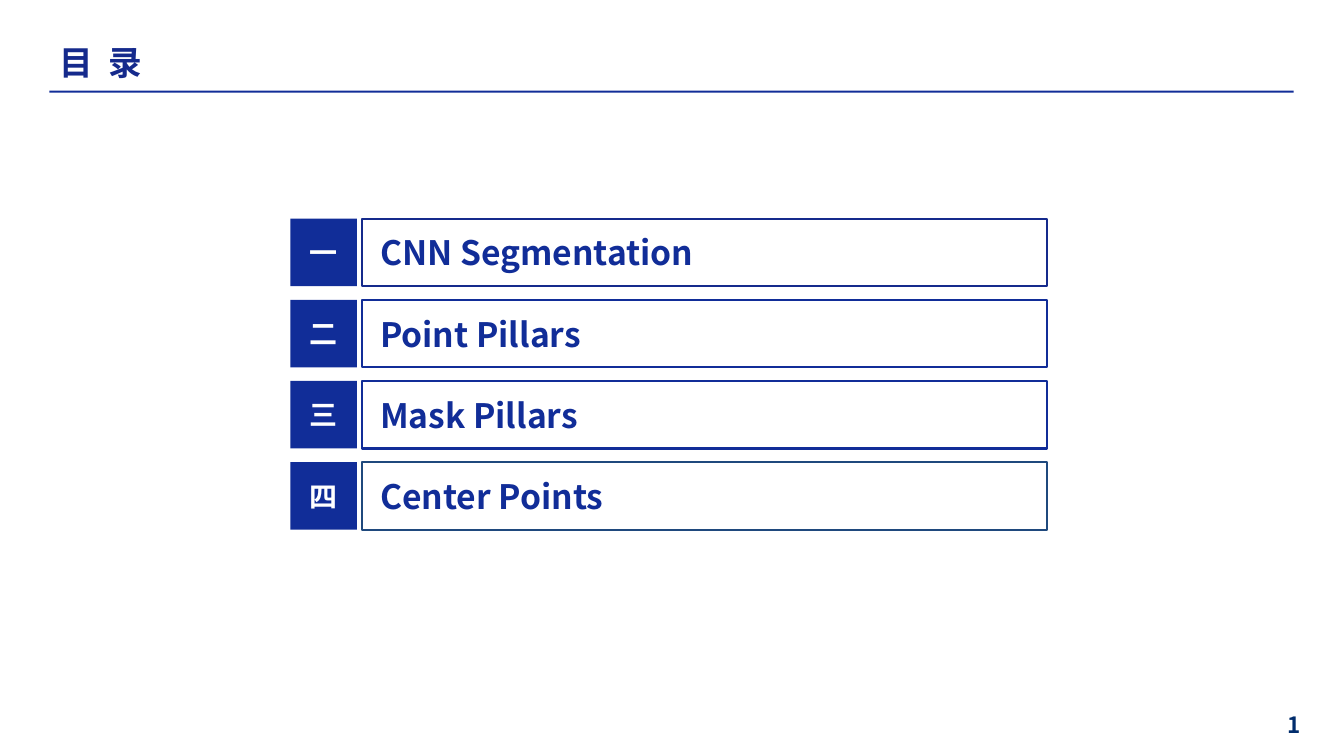
"""Build a contents slide with four numbered chapter bars."""
from pptx import Presentation
from pptx.dml.color import RGBColor
from pptx.enum import shapes, text
from pptx.oxml.ns import qn
from pptx.util import Inches, Pt

TITLE = "目  录"
PAGE_NUMBER = "1"
CHAPTERS = [
    ("一", "CNN Segmentation", "152A8C"),
    ("二", "Point Pillars", "112D98"),
    ("三", "Mask Pillars", "112D98"),
    ("四", "Center Points", "1F497D"),
]
FONT = "Noto Sans CJK SC"
BLUE, TITLE_BLUE, NUMBER_BLUE, WHITE = "112D98", "152A8C", "002C6C", "FFFFFF"
FIRST_TOP, PITCH, BAR_HEIGHT = 2.17, 0.805, 0.67
BADGE_LEFT, BADGE_WIDTH = 2.88, 0.66
BAR_LEFT, BAR_WIDTH = 3.59, 6.79


def color(value):
    return RGBColor.from_string(value)


def write(shape, wording, size, text_color, align=text.PP_ALIGN.LEFT):
    frame = shape.text_frame
    frame.text = wording
    frame.vertical_anchor = text.MSO_ANCHOR.MIDDLE
    paragraph = frame.paragraphs[0]
    paragraph.alignment = align
    font = paragraph.runs[0].font
    font.name, font.size, font.bold = FONT, Pt(size), True
    font.color.rgb = color(text_color)
    properties = paragraph.runs[0]._r.get_or_add_rPr()
    east_asian = properties.makeelement(qn("a:ea"), {"typeface": FONT})
    properties.find(qn("a:latin")).addnext(east_asian)


def add_box(slide, left, top, width, height, fill, line=None):
    shape = slide.shapes.add_shape(
        shapes.MSO_SHAPE.RECTANGLE,
        Inches(left), Inches(top), Inches(width), Inches(height))
    shape.shadow.inherit = False
    shape.fill.solid()
    shape.fill.fore_color.rgb = color(fill)
    if line:
        shape.line.color.rgb = color(line)
        shape.line.width = Pt(1.5)
    else:
        shape.line.fill.background()
    return shape


def main():
    presentation = Presentation()
    presentation.slide_width = Inches(13.33)
    presentation.slide_height = Inches(7.5)
    slide = presentation.slides.add_slide(presentation.slide_layouts[5])

    title = slide.shapes.title
    title.left, title.top = Inches(0.49), Inches(0.34)
    title.width, title.height = Inches(11.34), Inches(0.56)
    write(title, TITLE, 24, TITLE_BLUE)
    add_box(slide, 0.49, 0.9, 12.34, 0.02, BLUE)

    for index, (numeral, chapter, outline) in enumerate(CHAPTERS):
        top = FIRST_TOP + index * PITCH
        bar = add_box(slide, BAR_LEFT, top, BAR_WIDTH, BAR_HEIGHT, WHITE, outline)
        bar.text_frame.margin_left = Inches(0.18)
        write(bar, chapter, 24, BLUE)
        badge = add_box(slide, BADGE_LEFT, top, BADGE_WIDTH, BAR_HEIGHT, BLUE)
        write(badge, numeral, 20, WHITE, text.PP_ALIGN.CENTER)

    page = slide.shapes.add_textbox(
        Inches(12.67), Inches(7.01), Inches(0.66), Inches(0.36))
    page.text_frame.word_wrap = True
    write(page, PAGE_NUMBER, 16, NUMBER_BLUE)
    presentation.save("out.pptx")


if __name__ == "__main__":
    main()
